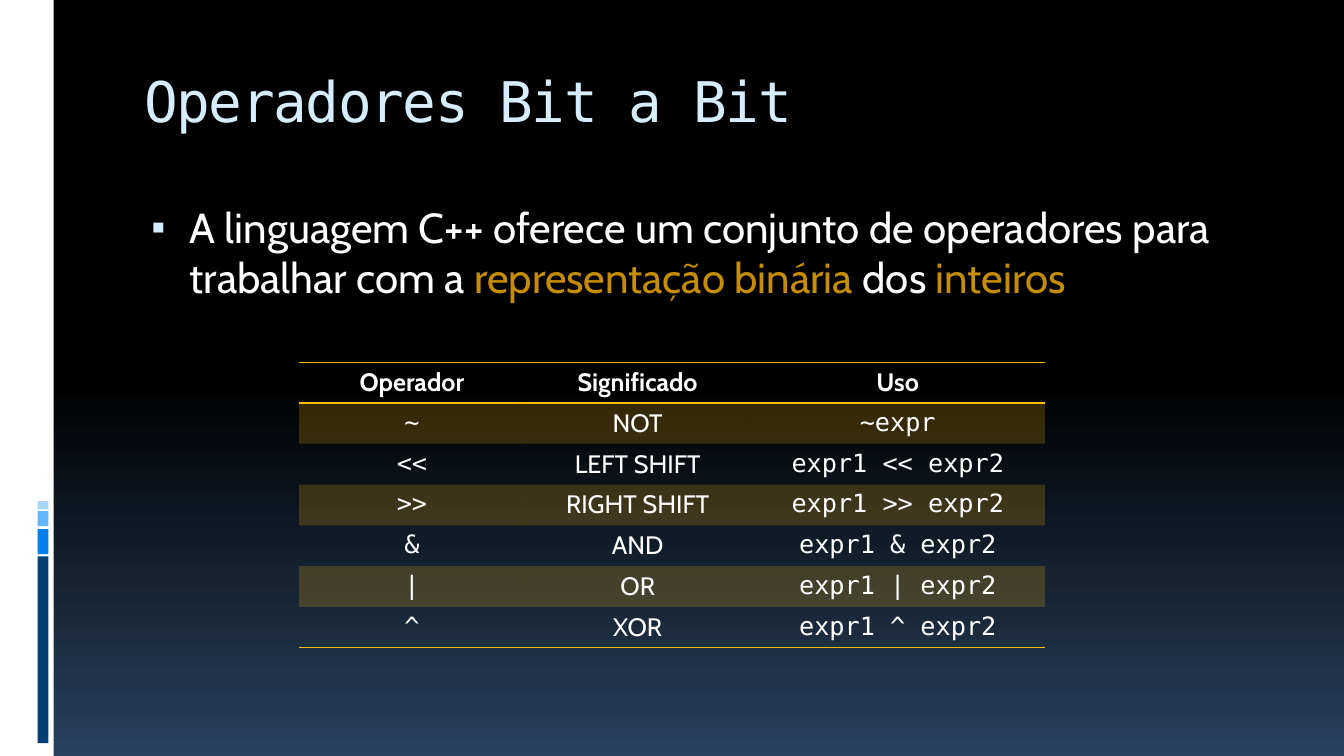
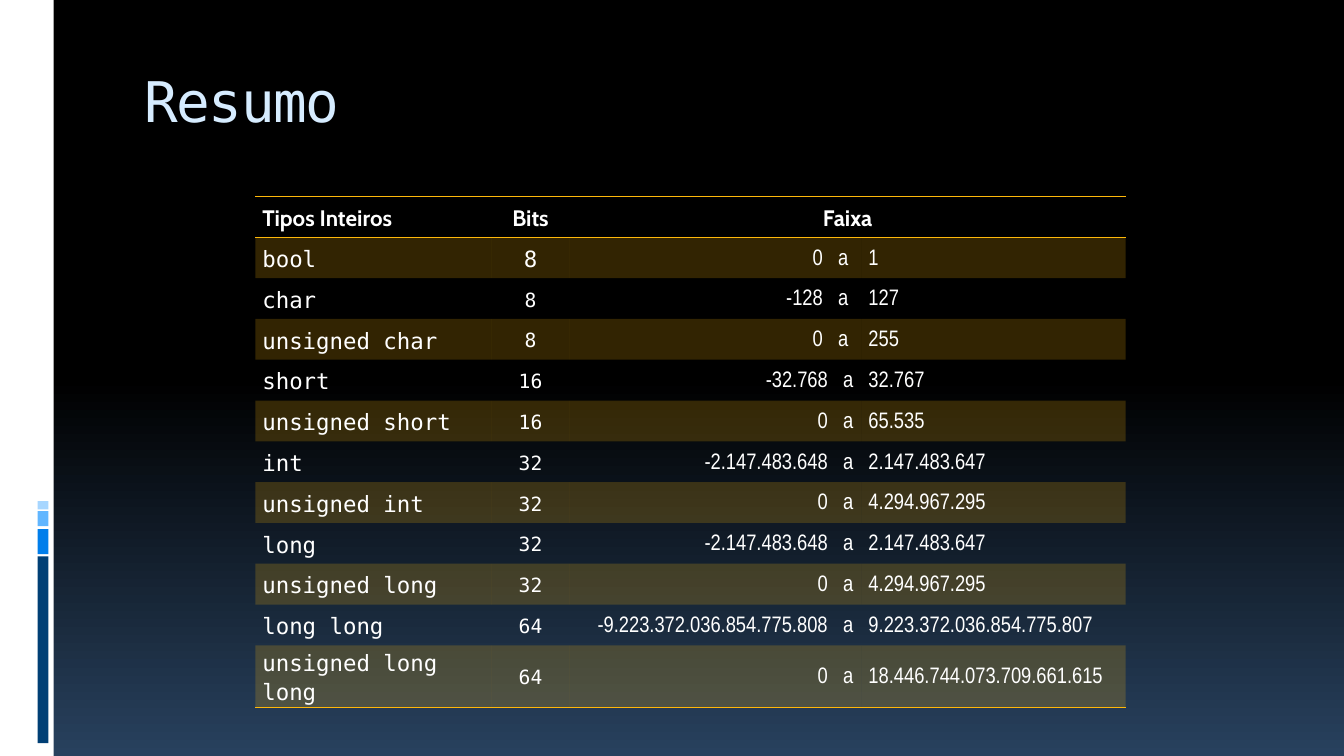
from lxml import etree
from pptx import Presentation
from pptx.dml.color import RGBColor
from pptx.enum.shapes import MSO_SHAPE as SHAPE
from pptx.enum.text import MSO_ANCHOR as ANCHOR, PP_ALIGN as ALIGN
from pptx.oxml.ns import qn
from pptx.util import Emu, Inches, Pt

W, H = Inches(13.33), Inches(7.5)
MONO, SANS, NARROW = "DejaVu Sans Mono", "Cabin", "Arial Narrow"
WHITE, PALE, GOLD, OCHRE = "FFFFFF", "D6ECFF", "FEB80A", "C58D01"
NIGHT, DUSK = "000000", "28415E"
NO_STYLE = "{2D5ABB26-0587-4C30-8999-92F81FD0307C}"
ROW = 5.4

BARS = [
    (73.6, 24.7, "003F75"),
    (70, 3.3, "007EEB"),
    (67.6, 2, "61B6FF"),
    (66.3, 1.1, "A7D6FF"),
]

OPERATORS = [
    ("Operador", "Significado", "Uso"),
    ("~", "NOT", "~expr"),
    ("<<", "LEFT SHIFT", "expr1 << expr2"),
    (">>", "RIGHT SHIFT", "expr1 >> expr2"),
    ("&", "AND", "expr1 & expr2"),
    ("|", "OR", "expr1 | expr2"),
    ("^", "XOR", "expr1 ^ expr2"),
]

TYPES = [
    ("bool", "8", "0", "1"),
    ("char", "8", "-128", "127"),
    ("unsigned char", "8", "0", "255"),
    ("short", "16", "-32.768", "32.767"),
    ("unsigned short", "16", "0", "65.535"),
    ("int", "32", "-2.147.483.648", "2.147.483.647"),
    ("unsigned int", "32", "0", "4.294.967.295"),
    ("long", "32", "-2.147.483.648", "2.147.483.647"),
    ("unsigned long", "32", "0", "4.294.967.295"),
    ("long long", "64", "-9.223.372.036.854.775.808", "9.223.372.036.854.775.807"),
    ("unsigned long long", "64", "0", "18.446.744.073.709.661.615"),
]


def rgb(color):
    return RGBColor.from_string(color)


def across(percent):
    return Emu(round(W * percent / 100))


def down(percent):
    return Emu(round(H * percent / 100))


def area(x, y, w, h):
    return across(x), down(y), across(w), down(h)


def set_font(font, name, size, color=WHITE, bold=False):
    font.name, font.size, font.bold = name, Pt(size), bold
    font.color.rgb = rgb(color)


def sub(parent, tag, **attrs):
    return etree.SubElement(parent, qn(tag), attrs)


def set_background(master):
    fill = master.background.fill
    fill.gradient()
    fill.gradient_angle = 270
    for stop, position, color in zip(fill.gradient_stops, (0.5, 1), (NIGHT, DUSK)):
        stop.position = position
        stop.color.rgb = rgb(color)


def add_bar(s, x, y, w, h, color):
    sp = s.shapes.add_shape(SHAPE.RECTANGLE, *area(x, y, w, h))
    sp.shadow.inherit = False
    sp.fill.solid()
    sp.fill.fore_color.rgb = rgb(color)
    sp.line.fill.background()


def add_text(s, x, y, w, h):
    tf = s.shapes.add_textbox(*area(x, y, w, h)).text_frame
    tf.word_wrap = True
    return tf


def add_slide(prs, title):
    s = prs.slides.add_slide(prs.slide_layouts[6])
    add_bar(s, 0, 0, 4, 100, WHITE)
    for y, h, color in BARS:
        add_bar(s, 2.8, y, 0.8, h, color)
    tf = add_text(s, 10, 7.5, 85, 13.3)
    tf.margin_top = Inches(0.1)
    p = tf.paragraphs[0]
    r = p.add_run()
    r.text = title
    set_font(r.font, MONO, 40, PALE)
    r.font._element.set("spc", "-100")
    return s


def add_bullet(s, x, y, w, h, parts):
    p = add_text(s, x, y, w, h).paragraphs[0]
    p.space_before = Pt(7)
    pPr = p._p.get_or_add_pPr()
    pPr.set("marL", str(Inches(0.45)))
    pPr.set("indent", str(-Inches(0.38)))
    sub(sub(pPr, "a:buClr"), "a:srgbClr", val=PALE)
    sub(pPr, "a:buSzPct", val="95000")
    sub(pPr, "a:buFont", typeface="Arial")
    sub(pPr, "a:buChar", char="▪")
    for text, color in parts:
        r = p.add_run()
        r.text = text
        set_font(r.font, SANS, 30, color)


def add_table(s, x, y, widths, row_count):
    frame = s.shapes.add_table(
        row_count, len(widths), *area(x, y, sum(widths), ROW * row_count))
    table = frame.table
    table.first_row = table.horz_banding = False
    table._tbl.tblPr.find(qn("a:tableStyleId")).text = NO_STYLE
    for column, width in zip(table.columns, widths):
        column.width = across(width)
    for row in table.rows:
        row.height = down(ROW)
    return table


def add_border(tcPr, tag, position):
    ln = etree.Element(qn(tag), w=str(Pt(1)))
    sub(sub(ln, "a:solidFill"), "a:srgbClr", val=GOLD)
    tcPr.insert(position, ln)


def style_rows(table):
    last = len(table.rows) - 1
    for i, row in enumerate(table.rows):
        for cell in row.cells:
            if i % 2:
                cell.fill.solid()
                cell.fill.fore_color.rgb = rgb(GOLD)
            else:
                cell.fill.background()
            tcPr = cell._tc.get_or_add_tcPr()
            for color in tcPr.iter(qn("a:srgbClr")):
                sub(color, "a:alpha", val="20000")
            if i in (0, last):
                add_border(tcPr, "a:lnB", 0)
            if i == 0:
                add_border(tcPr, "a:lnT", 0)


def write_cell(cell, text, name, size, align, bold=False):
    p = cell.text_frame.paragraphs[0]
    p.text = text
    p.alignment = align
    set_font(p.font, name, size, bold=bold)
    return p


def write_compact(cell, *style, **options):
    cell.vertical_anchor = ANCHOR.MIDDLE
    cell.margin_left = cell.margin_right = Inches(0.07)
    cell.margin_top = cell.margin_bottom = 0
    p = write_cell(cell, *style, **options)
    p.line_spacing = 1.15
    return p


def set_tabs(p, stops):
    pPr = p._p.get_or_add_pPr()
    tabs = etree.Element(qn("a:tabLst"))
    for position, align in stops:
        sub(tabs, "a:tab", pos=str(Inches(position)), algn=align)
    pPr.find(qn("a:defRPr")).addprevious(tabs)


def add_operator_table(s):
    table = add_table(s, 22.25, 47.9, (16.8, 16.8, 21.9), len(OPERATORS))
    for i, texts in enumerate(OPERATORS):
        for j, (text, name) in enumerate(zip(texts, (MONO, SANS, MONO))):
            write_cell(table.cell(i, j), text, name if i else SANS, 18,
                       ALIGN.CENTER, bold=i == 0)
    style_rows(table)


def add_type_table(s):
    table = add_table(s, 19, 26, (17.55, 5.85, 21.7, 19.65), len(TYPES) + 1)
    table.cell(0, 2).merge(table.cell(0, 3))
    heads = ("Tipos Inteiros", ALIGN.LEFT), ("Bits", ALIGN.CENTER), ("Faixa", ALIGN.CENTER)
    for j, (text, align) in enumerate(heads):
        write_compact(table.cell(0, j), text, SANS, 16, align, bold=True)
    for i, (kind, bits, low, high) in enumerate(TYPES, 1):
        write_compact(table.cell(i, 0), kind, MONO, 16, ALIGN.LEFT)
        write_compact(table.cell(i, 1), bits, MONO, 16 if i == 1 else 14, ALIGN.CENTER)
        p = write_compact(table.cell(i, 2), f"\t{low}\ta", NARROW, 16, ALIGN.LEFT)
        shift = 0.05 if bits == "8" else 0
        set_tabs(p, ((2.49 - shift, "r"), (2.64 - shift, "l")))
        write_compact(table.cell(i, 3), high, NARROW, 16, ALIGN.LEFT)
    style_rows(table)


def main():
    prs = Presentation()
    prs.slide_width, prs.slide_height = W, H
    set_background(prs.slide_master)

    s = add_slide(prs, "Operadores Bit a Bit")
    add_bullet(s, 10, 26, 85, 18, [
        ("A linguagem C++ oferece um conjunto de operadores para trabalhar com a ", WHITE),
        ("representação binária", OCHRE),
        (" dos ", WHITE),
        ("inteiros", OCHRE),
    ])
    add_operator_table(s)

    s = add_slide(prs, "Resumo")
    add_type_table(s)

    prs.save("out.pptx")


if __name__ == "__main__":
    main()
